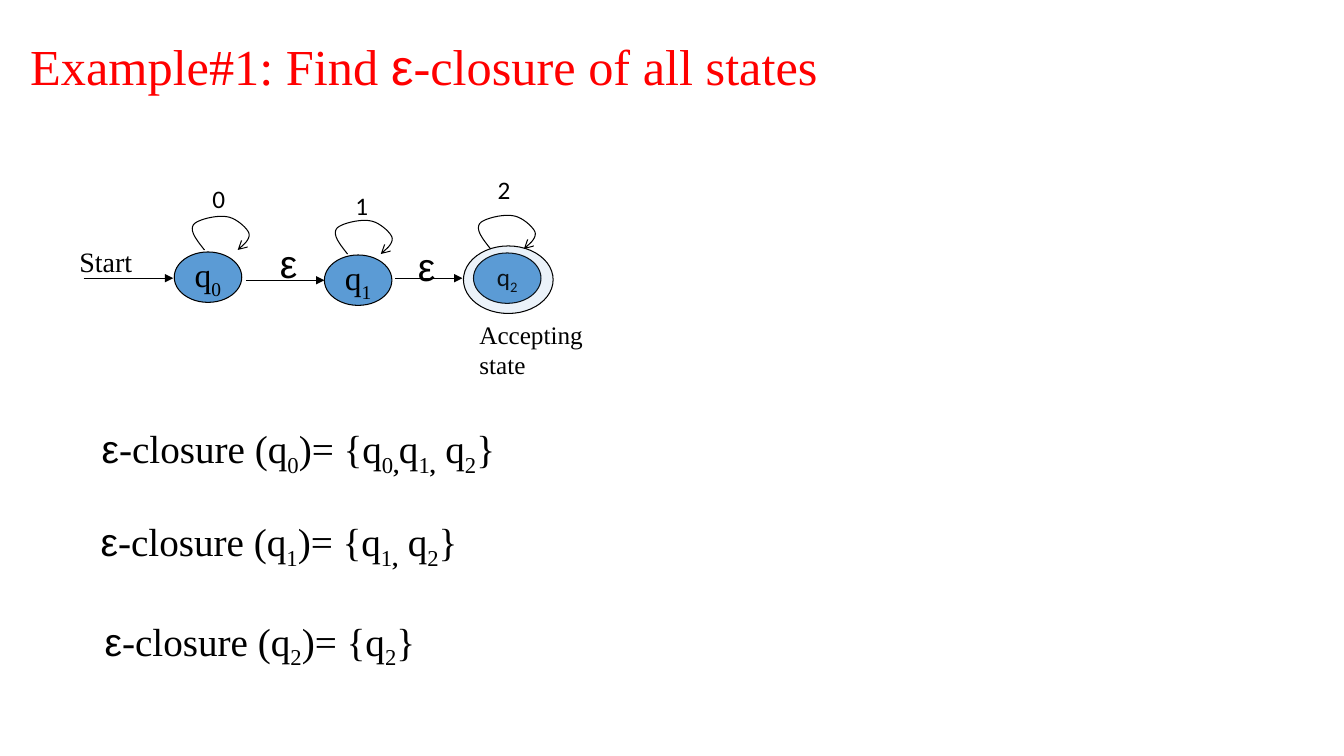
import itertools

import pptx
import pptx.dml.color
import pptx.enum.shapes
import pptx.enum.text
import pptx.oxml
import pptx.oxml.ns
import pptx.util

PX = 9144  # 100 px to the inch
BLACK = pptx.dml.color.RGBColor(0, 0, 0)
RED = pptx.dml.color.RGBColor(255, 0, 0)
BLUE = pptx.dml.color.RGBColor(0x5B, 0x9B, 0xD5)
SERIF, SANS, SYMBOL = "Times New Roman", "Calibri", "Arial"

# Text between a pair of underscores is subscript.
TITLE = ("Example#1: Find ε-closure of all states", (20, 35, 1014, 68))
STATES = [  # text, left, top, size, font
    ("q_0_", 173, 250, 24, SERIF),
    ("q_1_", 322, 253, 24, SERIF),
    ("q_2_", 470, 251, 18, SANS),
]
STATE_SIZE = (67, 50)
ACCEPTING_RING = (460, 244, 89, 67)
ARROWS = [(83, 172, 276), (244, 322, 278), (392, 459, 276)]  # from x, to x, y
LOOPS = [(188, 213), (330, 217), (472, 212)]
LOOP_START = (15, 35)
LOOP_CURVES = [  # two control points and an end, from the loop's corner
    ((7, 25), (0, 16), (4, 10)),
    ((7, 5), (28, 0), (37, 2)),
    ((46, 3), (57, 13), (59, 18)),
    ((61, 24), (54, 30), (48, 35)),
]
LABELS = [  # text, box, size, font
    ("Start", (69, 238, 80, 44), 20, SERIF),
    ("0", (201, 177, 34, 40), 18, SANS),
    ("1", (343, 184, 34, 40), 18, SANS),
    ("2", (484, 168, 34, 40), 18, SANS),
    ("Accepting\nstate", (466, 312, 134, 70), 18, SERIF),
    ("ε", (268, 233, 39, 57), 28, SERIF),
    ("ε", (405, 235, 39, 57), 28, SERIF),
]
CLOSURES = [
    ("ε-closure (q_0_)= {q_0,_q_1,_ q_2_}", 91, 416),
    ("ε-closure (q_1_)= {q_1,_ q_2_}", 90, 508),
    ("ε-closure (q_2_)= {q_2_}", 94, 607),
]
CLOSURE_SIZE = (469, 63)


def emu(lengths):
    return [round(length * PX) for length in lengths]


def write(frame, markup, size, font, color=BLACK, align=pptx.enum.text.PP_ALIGN.LEFT):
    """Write marked-up lines: ε in the symbol font, subscript commas in bold."""
    for number, line in enumerate(markup.split("\n")):
        paragraph = frame.add_paragraph() if number else frame.paragraphs[0]
        paragraph.alignment = align
        paragraph.font.size = pptx.util.Pt(size)
        paragraph.font.color.rgb = color
        for index, part in enumerate(line.split("_")):
            subscript = index % 2 == 1
            pieces = itertools.groupby(
                part, lambda char: (char == "ε", subscript and char == ","))
            for (symbol, bold), chars in pieces:
                run = paragraph.add_run()
                run.text = "".join(chars)
                run.font.name = SYMBOL if symbol else font
                if bold:
                    run.font.bold = True
                if subscript:
                    run._r.get_or_add_rPr().set("baseline", "-25000")


def add_label(slide, markup, box, size, font):
    frame = slide.shapes.add_textbox(*emu(box)).text_frame
    frame.word_wrap = True
    frame.auto_size = pptx.enum.text.MSO_AUTO_SIZE.SHAPE_TO_FIT_TEXT
    write(frame, markup, size, font)


def outline(shape, arrowhead=None):
    shape.line.color.rgb = BLACK
    shape.line.width = pptx.util.Pt(0.75)
    if arrowhead:
        tail = pptx.oxml.parse_xml(
            f'<a:tailEnd {pptx.oxml.ns.nsdecls("a")} type="{arrowhead}"/>')
        shape.line._get_or_add_ln().append(tail)


def add_ellipse(slide, box):
    ellipse = slide.shapes.add_shape(
        pptx.enum.shapes.MSO_SHAPE.OVAL, *emu(box))
    ellipse.shadow.inherit = False
    ellipse.fill.solid()
    ellipse.fill.fore_color.rgb = BLUE
    outline(ellipse)
    return ellipse


def add_state(slide, markup, left, top, size, font):
    frame = add_ellipse(slide, (left, top, *STATE_SIZE)).text_frame
    frame.word_wrap = False
    frame.vertical_anchor = pptx.enum.text.MSO_ANCHOR.MIDDLE
    write(frame, markup, size, font, align=pptx.enum.text.PP_ALIGN.CENTER)


def add_accepting_ring(slide):
    ring = add_ellipse(slide, ACCEPTING_RING)
    color = ring.fill._xPr.find(".//" + pptx.oxml.ns.qn("a:srgbClr"))
    color.append(pptx.oxml.parse_xml(
        f'<a:alpha {pptx.oxml.ns.nsdecls("a")} val="12000"/>'))


def add_arrow(slide, start, end, y):
    arrow = slide.shapes.add_connector(
        pptx.enum.shapes.MSO_CONNECTOR.STRAIGHT, *emu((start, y, end, y)))
    outline(arrow, "triangle")
    arrow._element.spPr.append(pptx.oxml.parse_xml(
        f'<a:effectLst {pptx.oxml.ns.nsdecls("a")}/>'))


def loop_points(left, top, steps=10):
    """Sample the loop's cubic curves in EMU, leaving out the start."""
    start = LOOP_START
    for first, second, end in LOOP_CURVES:
        for step in range(1, steps + 1):
            t = step / steps
            x, y = [
                (1 - t) ** 3 * a + 3 * (1 - t) ** 2 * t * b
                + 3 * (1 - t) * t ** 2 * c + t ** 3 * d
                for a, b, c, d in zip(start, first, second, end)]
            yield tuple(emu((left + x, top + y)))
        start = end


def add_loop(slide, left, top):
    start = emu((left + LOOP_START[0], top + LOOP_START[1]))
    builder = slide.shapes.build_freeform(*start)
    builder.add_line_segments(loop_points(left, top), close=False)
    loop = builder.convert_to_shape()
    loop.shadow.inherit = False
    loop.fill.background()
    outline(loop, "arrow")


def add_title(slide):
    text, box = TITLE
    title = slide.shapes.title
    title.left, title.top, title.width, title.height = emu(box)
    frame = title.text_frame
    frame.word_wrap = True
    frame.auto_size = pptx.enum.text.MSO_AUTO_SIZE.NONE
    frame.vertical_anchor = pptx.enum.text.MSO_ANCHOR.MIDDLE
    write(frame, text, 36, SERIF, RED)
    frame.paragraphs[0].line_spacing = 0.9


def main():
    presentation = pptx.Presentation()
    presentation.slide_width, presentation.slide_height = emu((1334, 750))
    slide = presentation.slides.add_slide(presentation.slide_layouts[5])
    add_title(slide)
    for state in STATES:
        add_state(slide, *state)
    add_accepting_ring(slide)
    for arrow in ARROWS:
        add_arrow(slide, *arrow)
    for loop in LOOPS:
        add_loop(slide, *loop)
    for label in LABELS:
        add_label(slide, *label)
    for markup, left, top in CLOSURES:
        add_label(slide, markup, (left, top, *CLOSURE_SIZE), 28, SERIF)
    presentation.save("out.pptx")


if __name__ == "__main__":
    main()
